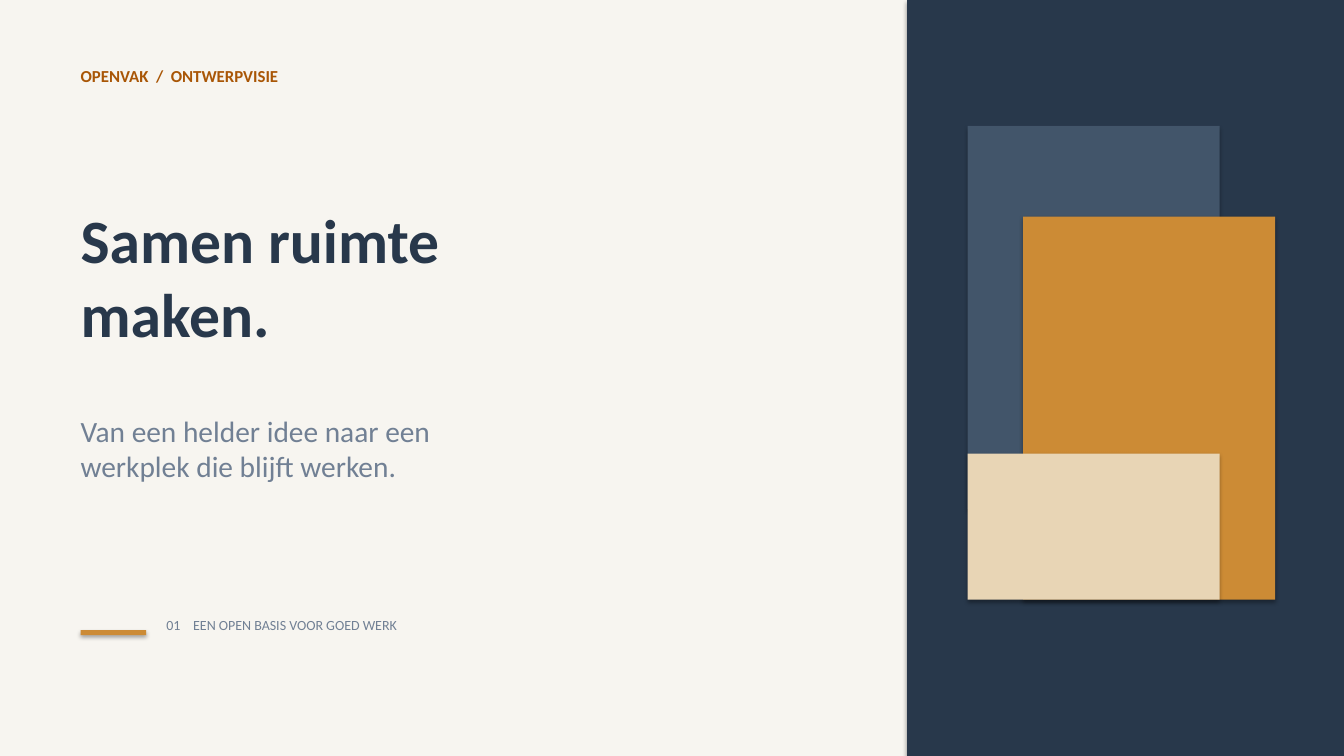
from lxml.etree import SubElement
from pptx import Presentation
from pptx.dml.color import RGBColor
from pptx.enum.shapes import MSO_SHAPE as Preset
from pptx.enum.text import MSO_ANCHOR as Anchor, MSO_AUTO_SIZE as AutoSize, PP_ALIGN as Align
from pptx.oxml.ns import qn
from pptx.util import Pt

COLORS = {
    "paper": "F7F5F0",
    "navy": "28384B",
    "slate": "42556A",
    "ochre": "CC8B35",
    "sand": "E8D5B5",
    "rust": "A95606",
    "gray": "718094",
}
FONT = "Calibri"
WIDTH, HEIGHT = 960, 540
MARGIN = 57.6
PANEL_LEFT = 648


def color(name):
    return RGBColor.from_string(COLORS[name])


def add_shadow(shape):
    shape.shadow.inherit = False
    effects = shape._element.spPr.find(qn("a:effectLst"))
    outer = SubElement(effects, qn("a:outerShdw"), blurRad=str(Pt(3.1)),
                       dist=str(Pt(1.8)), dir="5400000", rotWithShape="0")
    black = SubElement(outer, qn("a:srgbClr"), val="000000")
    SubElement(black, qn("a:alpha"), val="35000")


def add_block(page, left, top, width, height, fill):
    block = page.shapes.add_shape(Preset.RECTANGLE, Pt(left), Pt(top), Pt(width), Pt(height))
    block.fill.solid()
    block.fill.fore_color.rgb = color(fill)
    block.line.fill.background()
    add_shadow(block)


def write_lines(box, lines, size, ink, bold=False, tab=None):
    """Fill a box with one paragraph per line; tab is an optional stop in points."""
    frame = box.text_frame
    frame.word_wrap = True
    frame.auto_size = AutoSize.SHAPE_TO_FIT_TEXT
    frame.vertical_anchor = Anchor.TOP
    frame.margin_left = frame.margin_top = 0
    frame.margin_right, frame.margin_bottom = Pt(7.2), Pt(3.6)
    for index, line in enumerate(lines):
        para = frame.add_paragraph() if index else frame.paragraphs[0]
        para.alignment = Align.LEFT
        para.space_before = Pt(0)
        if tab:
            stops = SubElement(para._p.get_or_add_pPr(), qn("a:tabLst"))
            SubElement(stops, qn("a:tab"), pos=str(Pt(tab)), algn="l")
        span = para.add_run()
        span.text = line
        span.font.name = FONT
        span.font.size = Pt(size)
        span.font.bold = bold
        span.font.color.rgb = color(ink)


def add_text(page, left, top, width, height, lines, **style):
    box = page.shapes.add_textbox(Pt(left), Pt(top), Pt(width), Pt(height))
    write_lines(box, lines, **style)


def add_art_panel(page, left, top, width, height):
    add_block(page, left, top, width, height, "navy")
    art_left, art_top, art_width = left + 43.2, top + 90, 180
    add_block(page, art_left, art_top, art_width, 273.6, "slate")
    add_block(page, art_left + 39.6, art_top + 64.8, art_width, 273.6, "ochre")
    add_block(page, art_left, art_top + 234, art_width, 104.4, "sand")


def add_message(page, left, top):
    add_text(page, left, top + 46.8, 504, 18, ["OPENVAK  /  ONTWERPVISIE"],
             size=12, ink="rust", bold=True)
    title = page.shapes.title
    title.left, title.top = Pt(left), Pt(top + 144)
    title.width, title.height = Pt(561.6), Pt(109.44)
    write_lines(title, ["Samen ruimte", "maken."], size=44, ink="navy", bold=True)
    add_text(page, left, top + 295.2, 518.4, 54,
             ["Van een helder idee naar een", "werkplek die blijft werken."],
             size=21, ink="gray")


def add_footer(page, left, top):
    add_block(page, left, top + 9.36, 46.8, 3.6, "ochre")
    add_text(page, left + 61.2, top, 432, 15.84,
             ["01\tEEN OPEN BASIS VOOR GOED WERK"], size=10, ink="gray", tab=19.2)


def build_cover(deck):
    page = deck.slides.add_slide(deck.slide_layouts[5])
    page.background.fill.solid()
    page.background.fill.fore_color.rgb = color("paper")
    add_art_panel(page, PANEL_LEFT, 0, WIDTH - PANEL_LEFT, HEIGHT)
    add_message(page, MARGIN, 0)
    add_footer(page, MARGIN, 440.64)


def main():
    deck = Presentation()
    deck.slide_width, deck.slide_height = Pt(WIDTH), Pt(HEIGHT)
    build_cover(deck)
    deck.save("out.pptx")


if __name__ == "__main__":
    main()
